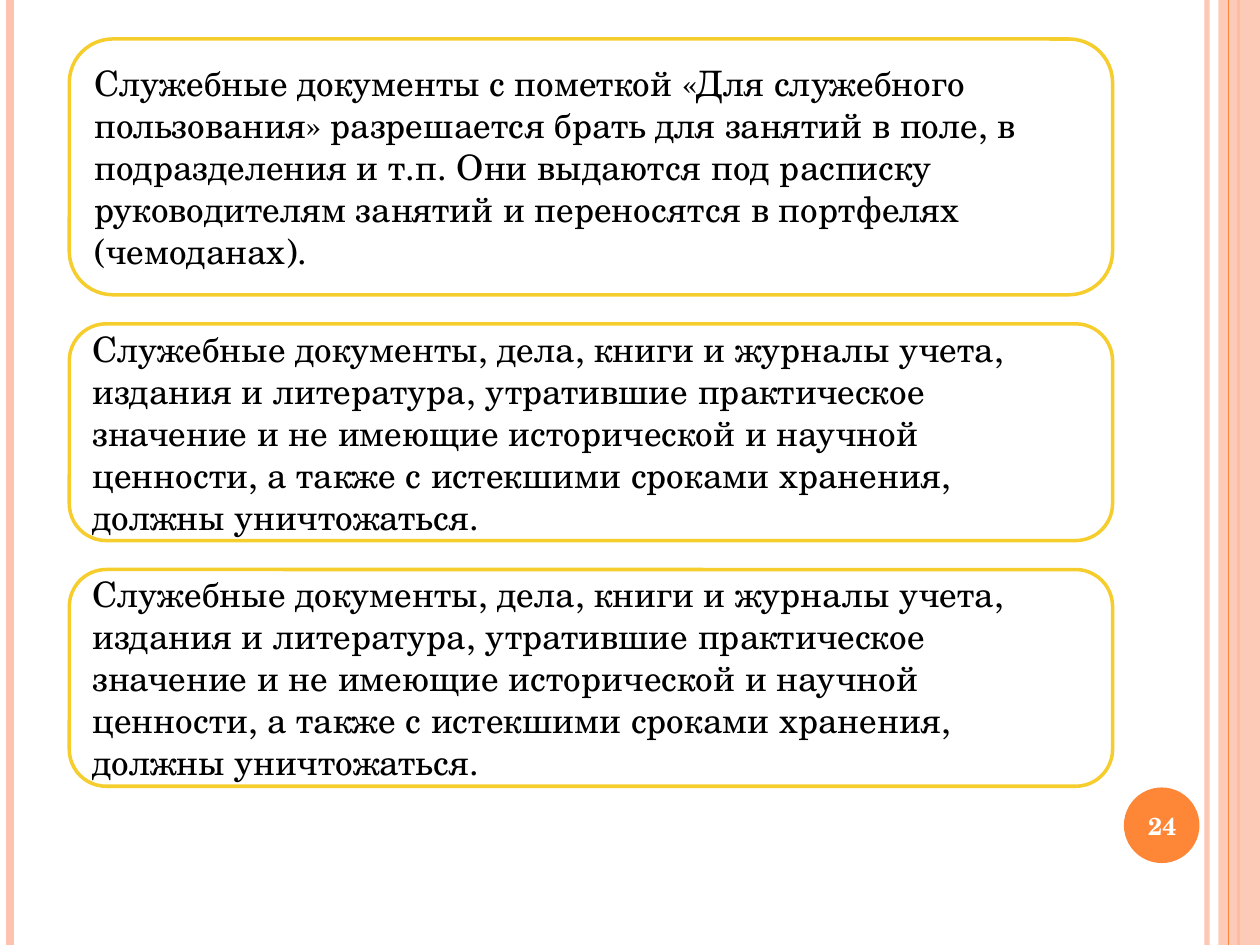
"""Build a slide of three framed rules on handling official documents."""
from lxml import etree
from pptx import Presentation
from pptx.dml.color import RGBColor
from pptx.enum.shapes import MSO_CONNECTOR, MSO_SHAPE
from pptx.enum.text import MSO_ANCHOR, PP_ALIGN
from pptx.oxml.ns import qn
from pptx.util import Inches, Pt

FONT = "TeX Gyre Schola"
HUES = {"white": "FFFFFF", "black": "000000", "gold": "F5CD2D",
        "peach": "FEC3AE", "orange": "FE8637"}

FIELD = ("Служебные документы с пометкой «Для служебного пользования» "
         "разрешается брать для занятий в поле, в подразделения и т.п. "
         "Они выдаются под расписку руководителям занятий и переносятся "
         "в портфелях (чемоданах).")
WASTE = ("Служебные документы, дела, книги и журналы учета, издания и "
         "литература, утратившие практическое значение и не имеющие "
         "исторической и научной ценности, а также с истекшими сроками "
         "хранения, должны уничтожаться.")
RULES = [(FIELD, 2.03), (WASTE, 1.72), (WASTE, 1.72)]
NUMBER = "24"

LEFT, TOP, WIDTH, GAP = 0.55, 0.31, 8.28, 0.23
HIGH = 7.5
UNDER = [(9.58, "peach", 3, 93), (0.08, "peach", 4.5, 100),
         (9.83, "orange", 1.5, 100)]
OVER = [(9.75, "orange", 0.75, 100)]


def tint(fill, hue, alpha=100):
    fill.solid()
    fill.fore_color.rgb = RGBColor.from_string(HUES[hue])
    if alpha < 100:
        color = fill._xPr.find(".//" + qn("a:srgbClr"))
        etree.SubElement(color, qn("a:alpha"), val=str(alpha * 1000))


def stripe(slide, x, hue, weight, alpha):
    line = slide.shapes.add_connector(
        MSO_CONNECTOR.STRAIGHT, Inches(x), 0, Inches(x), Inches(HIGH))
    line.line.width = Pt(weight)
    tint(line.line.fill, hue, alpha)
    etree.SubElement(line._element.spPr, qn("a:effectLst"))


def block(slide, kind, box, hue, alpha=100):
    shape = slide.shapes.add_shape(kind, *map(Inches, box))
    shape.shadow.inherit = False
    tint(shape.fill, hue, alpha)
    shape.line.fill.background()
    return shape


def write(shape, text, size, hue, align, bold=False):
    frame = shape.text_frame
    frame.text = text
    frame.word_wrap = True
    frame.vertical_anchor = MSO_ANCHOR.MIDDLE
    para = frame.paragraphs[0]
    para.alignment = align
    font = para.runs[0].font
    font.name, font.size, font.bold = FONT, Pt(size), bold
    font.color.rgb = RGBColor.from_string(HUES[hue])


def main():
    deck = Presentation()
    deck.slide_width, deck.slide_height = Inches(10), Inches(HIGH)
    slide = deck.slides.add_slide(deck.slide_layouts[6])
    tint(slide.background.fill, "white")

    for item in UNDER:
        stripe(slide, *item)
    block(slide, MSO_SHAPE.RECTANGLE, (9.67, 0, 0.33, HIGH), "peach", 87)
    for item in OVER:
        stripe(slide, *item)

    block(slide, MSO_SHAPE.OVAL, (8.92, 6.25, 0.6, 0.6), "orange")
    label = slide.shapes.add_textbox(*map(Inches, (8.89, 6.27, 0.67, 0.57)))
    write(label, NUMBER, 14, "white", PP_ALIGN.CENTER, True)

    top = TOP
    for text, height in RULES:
        card = block(slide, MSO_SHAPE.ROUNDED_RECTANGLE,
                     (LEFT, top, WIDTH, height), "white")
        card.adjustments[0] = 0.17
        tint(card.line.fill, "gold")
        card.line.width = Pt(2)
        write(card, text, 20, "black", PP_ALIGN.LEFT)
        top += height + GAP

    deck.save("out.pptx")


if __name__ == "__main__":
    main()
